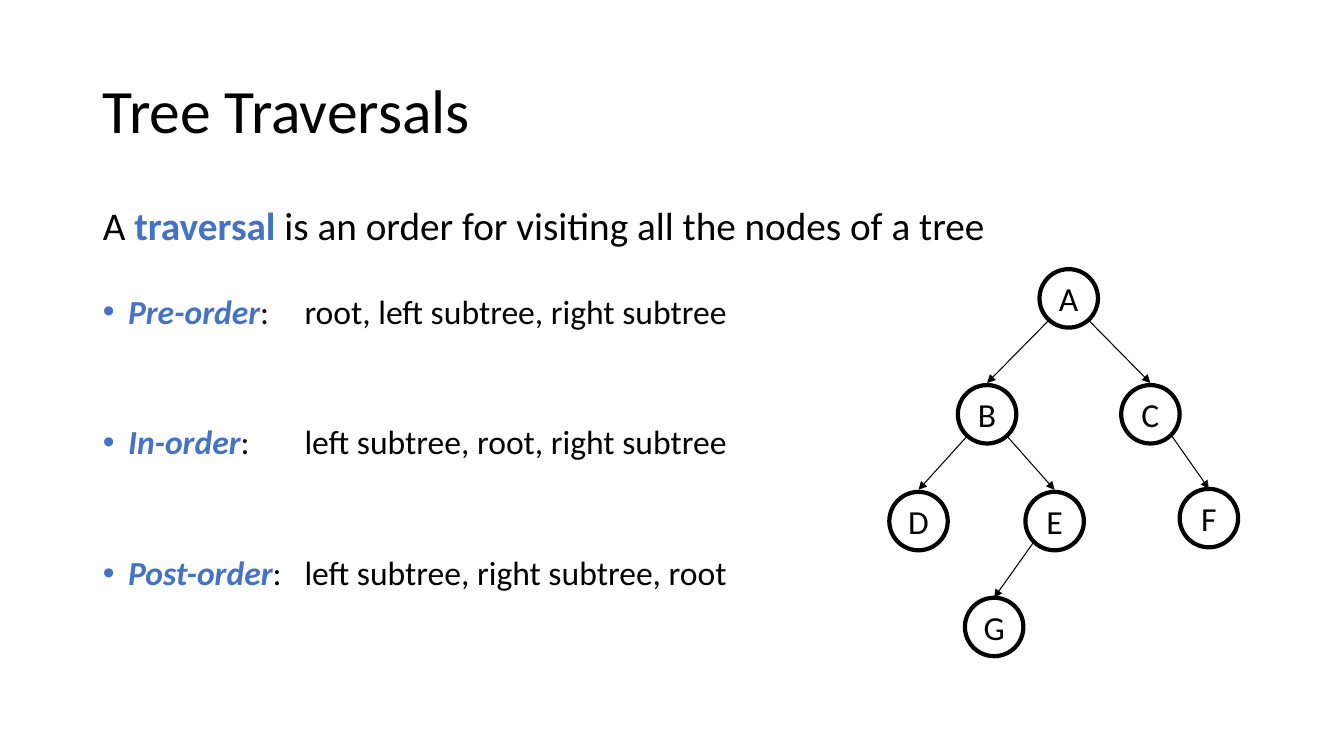
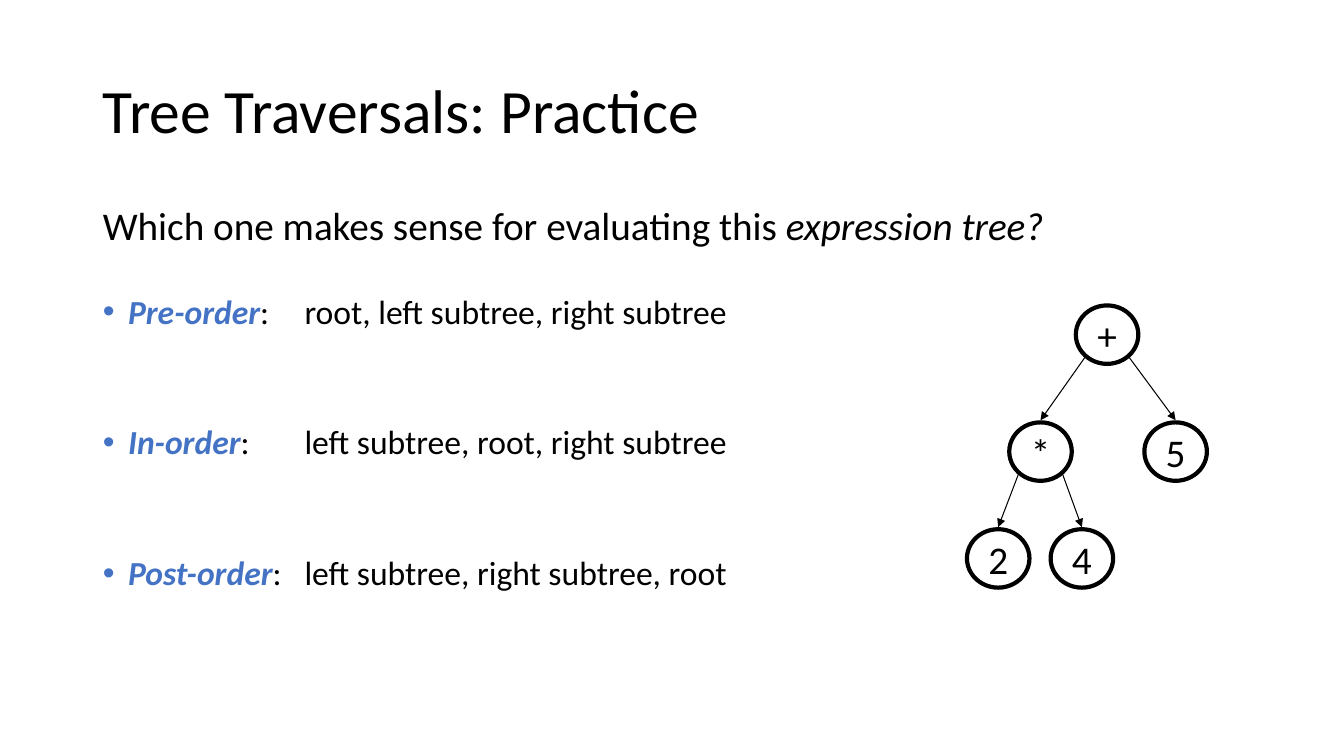
from dataclasses import dataclass
from math import sqrt
from typing import Any, NamedTuple

from pptx import Presentation
from pptx import util as u
from pptx.dml import color
from pptx.enum import shapes, text
from pptx.oxml import ns, xmlchemy as xc


@dataclass(frozen=True)
class Theme:
    font: str = "Calibri"
    ink: str = "000000"
    blue: str = "4472C4"
    title: int = 44
    lead: int = 28
    item: int = 24
    ring: float = 3
    edge: float = 0.75
    space: float = 0.9


class Box(NamedTuple):
    left: float
    top: float
    width: float
    height: float


class Run(NamedTuple):
    words: str
    form: dict[str, Any] = {}
    hue: str = "000000"


class Node(NamedTuple):
    label: str
    left: float
    top: float
    root: str = ""
    gap: float = 0.02


class Page(NamedTuple):
    title: str
    lead: list[Run]
    wide: float
    nodes: list[Node]
    ring: Box
    size: int
    joined: bool


LOOK = Theme()
BOLD = {"bold": True}
SLANT = {"italic": True}
ORDERS = [
    ("Pre-order", "root, left subtree, right subtree"),
    ("In-order", "left subtree, root, right subtree"),
    ("Post-order", "left subtree, right subtree, root"),
]
PAGES = [
    Page(
        "Tree Traversals",
        [Run("A "), Run("traversal ", BOLD, LOOK.blue),
         Run("is an order for visiting all the nodes of a tree")],
        9.11,
        [
            Node("A", 10.31, 2.67),
            Node("B", 9.5, 3.82, "A"),
            Node("C", 11.12, 3.82, "A"),
            Node("D", 8.82, 4.88, "B"),
            Node("E", 10.17, 4.88, "B"),
            Node("F", 11.7, 4.85, "C", 0),
            Node("G", 9.57, 5.93, "E", 0),
        ],
        Box(0, 0, 0.58, 0.58), LOOK.item, False,
    ),
    Page(
        "Tree Traversals: Practice",
        [Run("Which one makes sense for evaluating this "),
         Run("expression tree?", SLANT)],
        9.86,
        [
            Node("+", 10.67, 3.03),
            Node("*", 10.01, 4.19, "+"),
            Node("5", 11.35, 4.19, "+"),
            Node("2", 9.59, 5.25, "*"),
            Node("4", 10.42, 5.25, "*"),
        ],
        Box(0, 0, 0.62, 0.58), LOOK.lead, True,
    ),
]


def apply(thing: Any, form: dict[str, Any]) -> None:
    for key, value in form.items():
        setattr(thing, key, value)


def place(shape: Any, box: Box) -> None:
    apply(shape, {k: u.Inches(v) for k, v in box._asdict().items()})


def write(para: Any, runs: list[Run], size: int, form: dict[str, Any]) -> None:
    apply(para, form)
    for item in runs:
        run = para.add_run()
        run.text = item.words
        apply(run.font, {"name": LOOK.font, "size": u.Pt(size),
                         "bold": False, "italic": False} | item.form)
        run.font.color.rgb = color.RGBColor.from_string(item.hue)


def indent(para: Any, mark: str = "") -> None:
    props = para._p.get_or_add_pPr()
    for key, value in {"marL": 0.25, "indent": -0.25, "defTabSz": 1}.items():
        props.set(key, str(u.Inches(value)))
    if mark:
        xc.OxmlElement("a:buFont")
        font = props.makeelement(ns.qn("a:buFont"), {"typeface": "Arial"})
        sign = props.makeelement(ns.qn("a:buChar"), {"char": mark})
        props.extend([font, sign])
    else:
        props.append(props.makeelement(ns.qn("a:buNone"), {}))


def set_line(line: Any, width: float) -> None:
    line.color.rgb = color.RGBColor.from_string(LOOK.ink)
    line.width = u.Pt(width)


def draw_title(slide: Any, words: str) -> None:
    title = slide.shapes.title
    place(title, Box(0.92, 0.4, 11.5, 1.45))
    apply(title.text_frame, {"vertical_anchor": text.MSO_ANCHOR.MIDDLE,
                             "auto_size": text.MSO_AUTO_SIZE.NONE})
    write(title.text_frame.paragraphs[0], [Run(words)], LOOK.title,
          {"alignment": text.PP_ALIGN.LEFT, "line_spacing": LOOK.space})


def draw_body(slide: Any, page: Page) -> None:
    body = slide.placeholders[1]
    place(body, Box(0.92, 2, page.wide, 4.86))
    frame = body.text_frame
    frame.auto_size = text.MSO_AUTO_SIZE.NONE
    form = {"alignment": text.PP_ALIGN.LEFT, "line_spacing": LOOK.space}
    lead = frame.paragraphs[0]
    write(lead, page.lead, LOOK.lead, form | {"space_before": u.Pt(10)})
    indent(lead)
    for rank, (name, steps) in enumerate(ORDERS):
        para = frame.add_paragraph()
        runs = [Run(name, BOLD | SLANT, LOOK.blue), Run(f":\t{steps}")]
        gap = u.Pt(67.5 if rank else 33)
        write(para, runs, LOOK.item, form | {"space_before": gap})
        indent(para, "•")


def draw_node(host: Any, node: Node, page: Page) -> None:
    ring = host.add_shape(shapes.MSO_SHAPE.OVAL, 0, 0, 0, 0)
    place(ring, page.ring._replace(left=node.left, top=node.top))
    ring.shadow.inherit = False
    ring.fill.background()
    set_line(ring.line, LOOK.ring)
    apply(ring.text_frame, {"word_wrap": False,
                            "vertical_anchor": text.MSO_ANCHOR.MIDDLE})
    write(ring.text_frame.paragraphs[0], [Run(node.label)], page.size,
          {"alignment": text.PP_ALIGN.CENTER})


def draw_edge(host: Any, root: Node, node: Node, ring: Box) -> None:
    side = 1 if node.left > root.left else -1
    half, drop = ring.width / 2, ring.height / 2
    ends = (
        root.left + half + side * half / sqrt(2),
        root.top + drop + drop / sqrt(2) + node.gap,
        node.left + half,
        node.top - node.gap,
    )
    edge = host.add_connector(shapes.MSO_CONNECTOR.STRAIGHT,
                              *(u.Inches(end) for end in ends))
    set_line(edge.line, LOOK.edge)
    stroke = edge.line._get_or_add_ln()
    stroke.append(stroke.makeelement(ns.qn("a:tailEnd"), {"type": "triangle"}))
    edge._element.spPr.append(xc.OxmlElement("a:effectLst"))


def draw_tree(slide: Any, page: Page) -> None:
    host = slide.shapes.add_group_shape().shapes if page.joined else slide.shapes
    index = {node.label: node for node in page.nodes}
    for node in page.nodes:
        draw_node(host, node, page)
        if node.root:
            draw_edge(host, index[node.root], node, page.ring)


def main() -> None:
    deck = Presentation()
    apply(deck, {"slide_width": u.Inches(13.33), "slide_height": u.Inches(7.5)})
    for page in PAGES:
        slide = deck.slides.add_slide(deck.slide_layouts[1])
        draw_title(slide, page.title)
        draw_body(slide, page)
        draw_tree(slide, page)
    deck.save("out.pptx")


if __name__ == "__main__":
    main()
